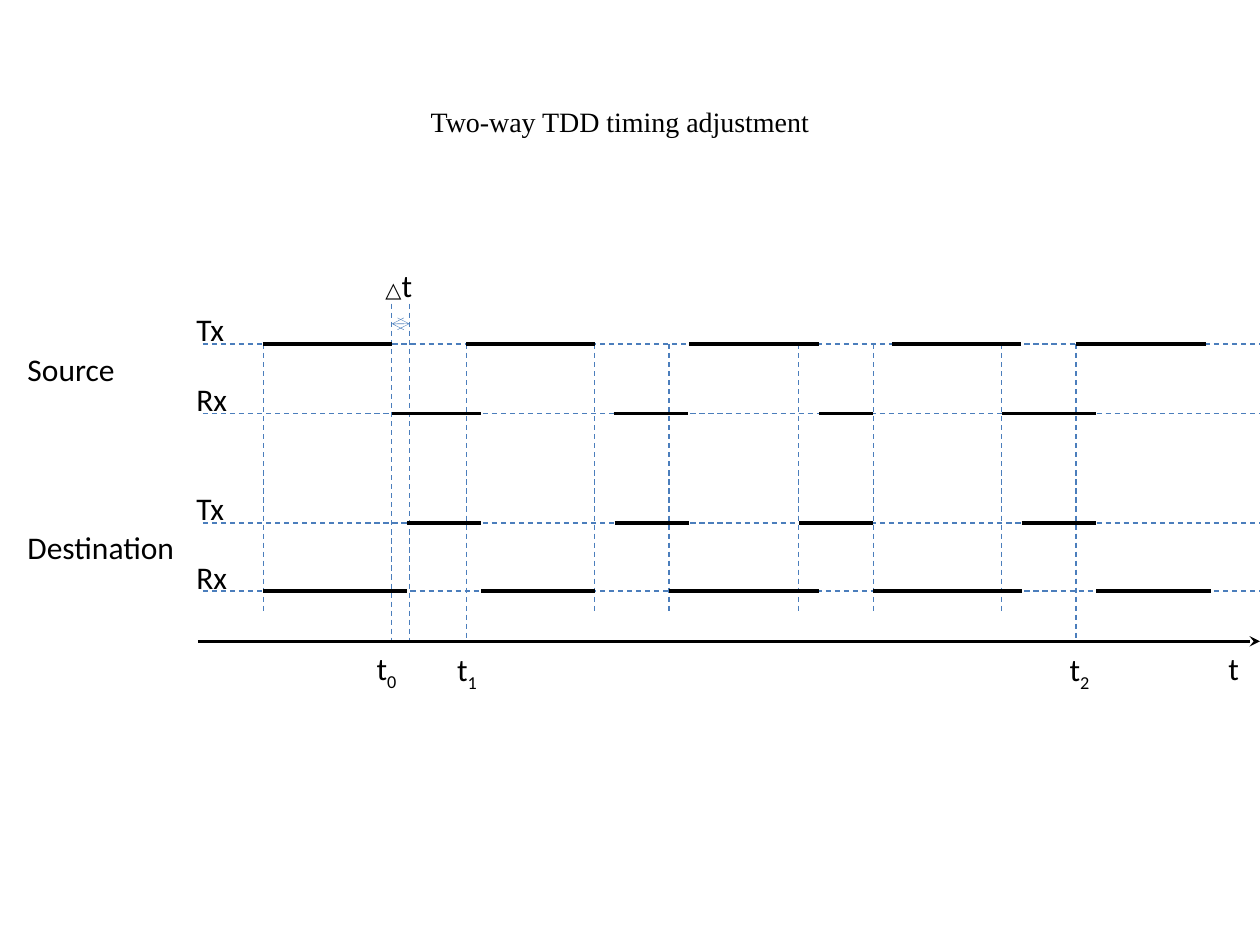
from typing import NamedTuple

from lxml import etree
from pptx import Presentation
from pptx.dml.color import RGBColor
from pptx.enum.dml import MSO_LINE
from pptx.enum.shapes import MSO_CONNECTOR
from pptx.enum.text import MSO_ANCHOR, MSO_AUTO_SIZE, PP_ALIGN
from pptx.oxml.ns import qn
from pptx.util import Inches, Pt

STRAIGHT = MSO_CONNECTOR.STRAIGHT
DASH = MSO_LINE.DASH
MIDDLE = MSO_ANCHOR.MIDDLE
GROW = MSO_AUTO_SIZE.SHAPE_TO_FIT_TEXT
CENTER = PP_ALIGN.CENTER

COLORS = {"ink": "000000", "guide": "4B7EBC"}
FONT = "Calibri"
TITLE_FONT = "Times New Roman"
RIGHT_EDGE = 10
AXIS_Y = 5.09
GUIDE_END = 4.85


class Channel(NamedTuple):
    """One dashed time line and the bursts (start, end) on it."""
    name: str
    label_top: float
    y: float
    bursts: list[tuple[float, float]]


class Guide(NamedTuple):
    x: float
    top: float
    bottom: float


class Label(NamedTuple):
    text: str
    left: float
    top: float
    width: float
    subscript: str = ""
    prefix: str = ""


CHANNELS = [
    Channel("Tx", 2.41, 2.73, [(2.09, 3.11), (3.7, 4.72), (5.47, 6.5),
                               (7.08, 8.1), (8.54, 9.57)]),
    Channel("Rx", 2.97, 3.28, [(3.11, 3.82), (4.87, 5.46), (6.5, 6.93),
                               (7.95, 8.7)]),
    Channel("Tx", 3.83, 4.15, [(3.23, 3.82), (4.88, 5.47), (6.34, 6.93),
                               (8.11, 8.7)]),
    Channel("Rx", 4.38, 4.69, [(2.09, 3.23), (3.82, 4.72), (5.31, 6.5),
                               (6.93, 8.11), (8.7, 9.61)]),
]
FIRST_Y = CHANNELS[0].y
GUIDES = [Guide(x, 2.41, AXIS_Y) for x in (3.11, 3.25)]
GUIDES += [Guide(x, FIRST_Y, AXIS_Y) for x in (3.7, 8.54)]
GUIDES += [Guide(x, FIRST_Y, GUIDE_END)
           for x in (2.09, 4.72, 5.31, 6.34, 6.93, 7.95)]
LABELS = [
    Label("Source", 0.12, 2.73, 1.1),
    Label("Destination", 0.12, 4.14, 1.46),
    Label("t", 2.96, 2.06, 0.51, prefix="△"),
    Label("t", 2.89, 5.1, 0.44, subscript="0"),
    Label("t", 3.53, 5.11, 0.44, subscript="1"),
    Label("t", 8.39, 5.11, 0.44, subscript="2"),
    Label("t", 9.65, 5.1, 0.55),
]
LABELS += [Label(channel.name, 1.46, channel.label_top, 0.55)
           for channel in CHANNELS]


def draw_line(slide, x1: float, y1: float, x2: float, y2: float, color: str,
              width: float, dashed: bool = False, head: str = "",
              tail: str = "") -> None:
    connector = slide.shapes.add_connector(
        STRAIGHT, Inches(x1), Inches(y1), Inches(x2), Inches(y2))
    line = connector.line
    line.color.rgb = RGBColor.from_string(COLORS[color])
    line.width = Pt(width)
    if dashed:
        line.dash_style = DASH
    properties = connector._element.spPr
    outline = properties.find(qn("a:ln"))
    for tag, arrow in (("a:headEnd", head), ("a:tailEnd", tail)):
        if arrow:
            etree.SubElement(outline, qn(tag), type=arrow)
    etree.SubElement(properties, qn("a:effectLst"))


def draw_label(slide, label: Label) -> None:
    box = slide.shapes.add_textbox(Inches(label.left), Inches(label.top),
                                   Inches(label.width), Inches(0.4))
    box.text_frame.word_wrap = True
    box.text_frame.auto_size = GROW
    paragraph = box.text_frame.paragraphs[0]
    paragraph.font.name = FONT
    paragraph.font.size = Pt(18)
    paragraph.font.color.rgb = RGBColor.from_string(COLORS["ink"])
    if label.prefix:
        run = paragraph.add_run()
        run.text = label.prefix
        run.font.size = Pt(12)
    paragraph.add_run().text = label.text
    if label.subscript:
        run = paragraph.add_run()
        run.text = label.subscript
        run._r.get_or_add_rPr().set("baseline", "-25000")


def set_title(slide, text: str) -> None:
    title = slide.shapes.title
    title.left, title.top = Inches(2.66), Inches(0.76)
    title.width, title.height = Inches(4.52), Inches(0.41)
    frame = title.text_frame
    frame.text = text
    frame.vertical_anchor = MIDDLE
    paragraph = frame.paragraphs[0]
    paragraph.alignment = CENTER
    paragraph.font.name = TITLE_FONT
    paragraph.font.size = Pt(16)
    paragraph.font.color.rgb = RGBColor.from_string(COLORS["ink"])


def main() -> None:
    presentation = Presentation()
    presentation.slide_width = Inches(10)
    presentation.slide_height = Inches(7.5)
    slide = presentation.slides.add_slide(presentation.slide_layouts[5])
    set_title(slide, "Two-way TDD timing adjustment")

    # Dashed grid
    for channel in CHANNELS:
        draw_line(slide, 1.61, channel.y, RIGHT_EDGE, channel.y,
                  "guide", 0.75, dashed=True)
    for guide in GUIDES:
        draw_line(slide, guide.x, guide.top, guide.x, guide.bottom,
                  "guide", 0.75, dashed=True)

    # Time axis and the offset between the two guides
    draw_line(slide, 1.57, AXIS_Y, RIGHT_EDGE, AXIS_Y, "ink", 2,
              tail="stealth")
    draw_line(slide, 3.11, 2.57, 3.25, 2.57, "guide", 0.25,
              head="arrow", tail="arrow")

    # Bursts
    for channel in CHANNELS:
        for start, end in channel.bursts:
            draw_line(slide, start, channel.y, end, channel.y, "ink", 2)

    # Labels
    for label in LABELS:
        draw_label(slide, label)

    presentation.save("out.pptx")


if __name__ == "__main__":
    main()
